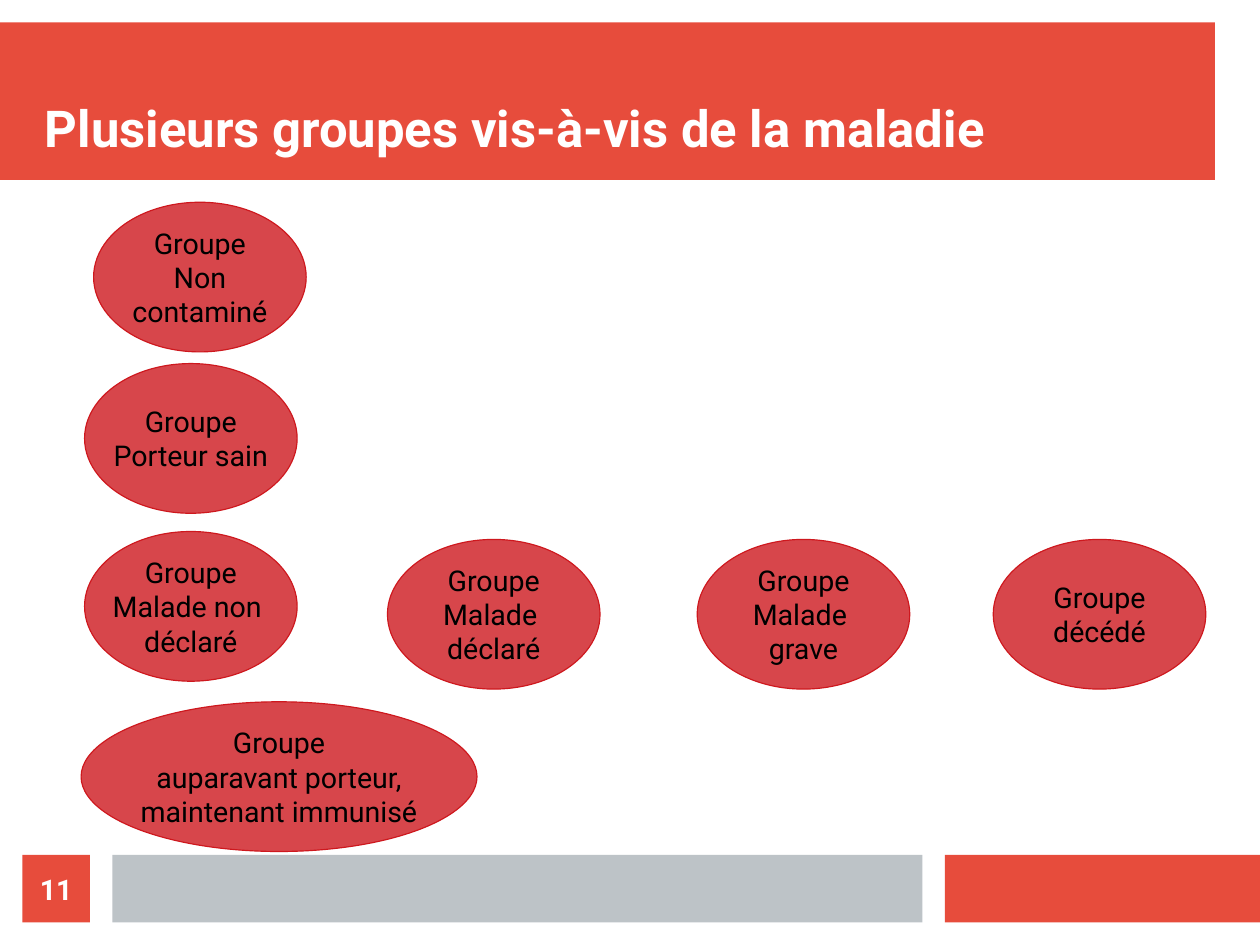
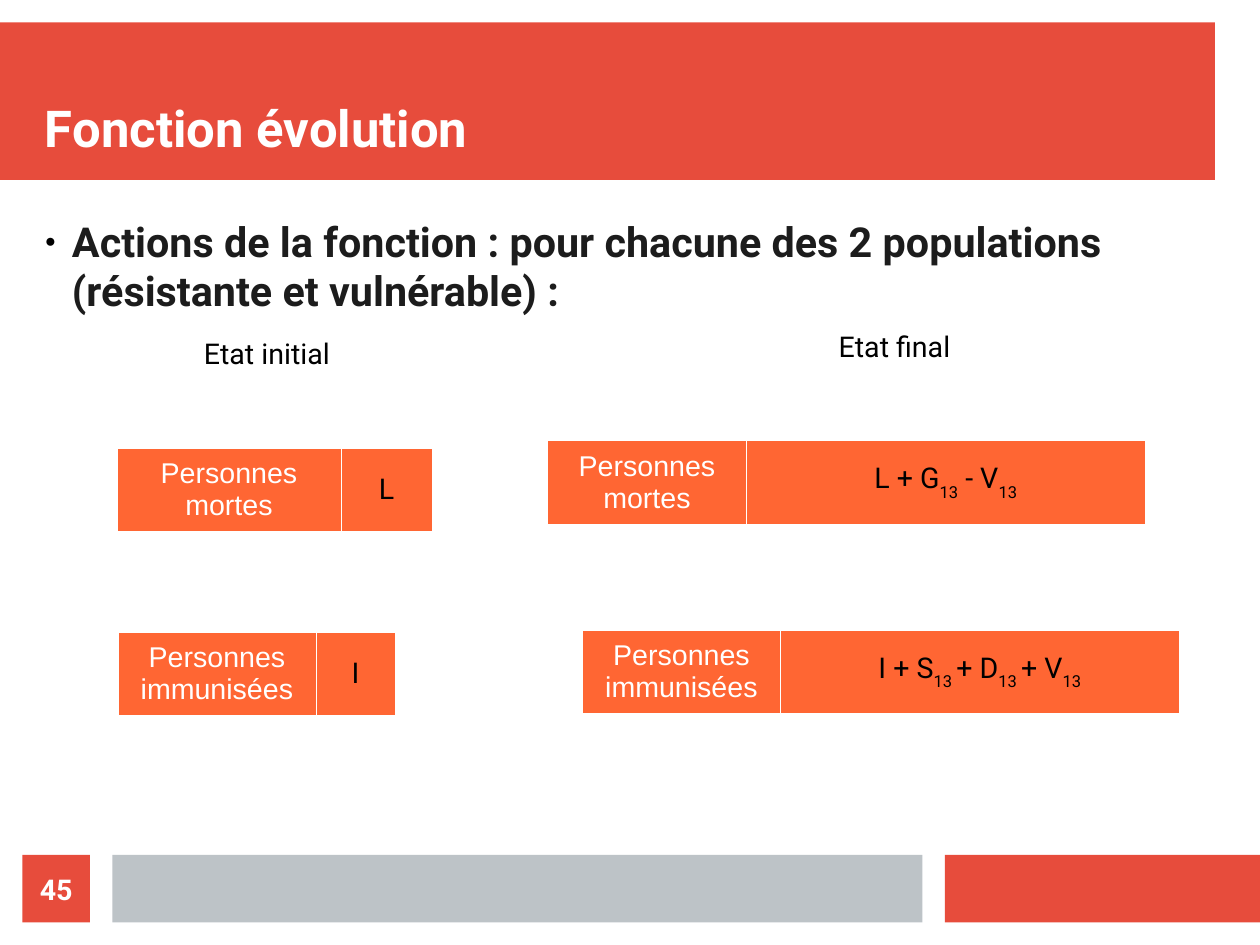
from lxml import etree
from pptx import Presentation
from pptx.dml.color import RGBColor
from pptx.enum.shapes import MSO_SHAPE
from pptx.enum.text import MSO_ANCHOR, MSO_AUTO_SIZE, PP_ALIGN
from pptx.oxml import parse_xml
from pptx.oxml.ns import qn
from pptx.util import Pt

RECT, OVAL = MSO_SHAPE.RECTANGLE, MSO_SHAPE.OVAL
TOP, MIDDLE, BOTTOM = MSO_ANCHOR.TOP, MSO_ANCHOR.MIDDLE, MSO_ANCHOR.BOTTOM
LEFT, CENTER = PP_ALIGN.LEFT, PP_ALIGN.CENTER
NO_FIT = MSO_AUTO_SIZE.NONE
NS = "http://schemas.openxmlformats.org/drawingml/2006/main"

RED, GREY, CRIMSON, ORANGE = "E74C3C", "BDC3C7", "CE181E", "FF6633"
WHITE, BLACK, INK = "FFFFFF", "000000", "1C1C1C"
TITLE = {"name": "Roboto", "size": Pt(32), "bold": True}
BODY = {"name": "Roboto", "size": Pt(26), "bold": True}
NUMBER = {"name": "Roboto", "size": Pt(18), "bold": True}
LABEL = {"name": "Roboto", "size": Pt(18), "bold": False}
HEADER = {"name": "Arial", "size": Pt(18), "bold": False}
FLUSH = {"margin_left": 0, "margin_top": 0, "margin_right": 0, "margin_bottom": 0,
         "word_wrap": True, "auto_size": NO_FIT}


def style(tf, fmt, color, align=CENTER, frame=None):
    for key, value in (frame or {}).items():
        setattr(tf, key, value)
    for p in tf.paragraphs:
        p.alignment = align
        for r in p.runs:
            for key, value in fmt.items():
                setattr(r.font, key, value)
            r.font.color.rgb = RGBColor.from_string(color)


def add_shape(s, kind, box, color):
    sp = s.shapes.add_shape(kind, *[Pt(v) for v in box])
    sp.shadow.inherit = False
    sp.fill.solid()
    sp.fill.fore_color.rgb = RGBColor.from_string(color)
    sp.line.fill.background()
    return sp


prs = Presentation()
prs.slide_width, prs.slide_height = Pt(793.7), Pt(595.28)
master = prs.slide_master
for ph, box in zip(master.placeholders, [(28.35, 28.35, 737, 70.87), (28.35, 136, 723, 368.5)]):
    ph.left, ph.top, ph.width, ph.height = [Pt(v) for v in box]

groups_slide = prs.slides.add_slide(prs.slide_layouts[5])
evolution_slide = prs.slides.add_slide(prs.slide_layouts[1])

bands = [
    ((0, 14.17, 765.35, 99.2), RED),
    ((595.28, 538.58, 198.42, 42.52), RED),
    ((70.87, 538.58, 510.24, 42.52), GREY),
]
for i, (box, color) in enumerate(bands):
    sp = add_shape(groups_slide, RECT, box, color)
    sp.element.nvSpPr.cNvPr.set("id", str(101 + i))
    master.shapes.element.insert(2 + i, sp.element)

pages = [
    (groups_slide, "Plusieurs groupes vis-à-vis de la maladie", "11"),
    (evolution_slide, "Fonction évolution", "45"),
]
for s, title, number in pages:
    tf = s.shapes.title.text_frame
    tf.text = title
    style(tf, TITLE, WHITE, LEFT, {**FLUSH, "vertical_anchor": BOTTOM})
    tf = add_shape(s, RECT, (14.17, 538.58, 42.52, 42.52), RED).text_frame
    tf.text = number
    style(tf, NUMBER, WHITE, CENTER, {**FLUSH, "vertical_anchor": MIDDLE})

groups = [
    (59, 127.4, 133.9, "Groupe\nNon\vcontaminé"),
    (53.3, 229, 133.9, "Groupe\nPorteur sain"),
    (53.3, 334.8, 133.9, "Groupe\nMalade non \vdéclaré"),
    (244.1, 339.8, 133.9, "Groupe\nMalade \vdéclaré"),
    (51.1, 442.1, 249.4, "Groupe\vauparavant porteur,\vmaintenant immunisé"),
    (439.2, 339.8, 133.9, "Groupe\nMalade \vgrave"),
    (625.7, 339.8, 133.9, "Groupe\ndécédé"),
]
for x, y, w, text in groups:
    sp = add_shape(groups_slide, OVAL, (x, y, w, 94.3), CRIMSON)
    fill = sp.element.spPr.find(qn("a:solidFill"))
    etree.SubElement(fill[0], qn("a:alpha"), val="80000")
    sp.line.color.rgb = RGBColor.from_string(CRIMSON)
    sp.line.width = Pt(0)
    sp.text_frame.text = text
    style(sp.text_frame, LABEL, BLACK, CENTER, {"word_wrap": False, "vertical_anchor": MIDDLE})

tf = evolution_slide.placeholders[1].text_frame
tf.text = "Actions de la fonction : pour chacune des 2 populations (résistante et vulnérable)\u00a0:"
p = tf.paragraphs[0]
pPr = p._p.get_or_add_pPr()
pPr.set("marL", str(Pt(17)))
pPr.set("indent", str(-Pt(17)))
for xml in (f'<a:buClr xmlns:a="{NS}"><a:srgbClr val="{BLACK}"/></a:buClr>',
            f'<a:buSzPct xmlns:a="{NS}" val="45000"/>',
            f'<a:buChar xmlns:a="{NS}" char="●"/>'):
    pPr.append(parse_xml(xml))
p.space_before, p.space_after = Pt(0), Pt(11.4)
style(tf, BODY, INK, LEFT, {**FLUSH, "vertical_anchor": TOP})

for x, y, text in [(56.9, 208.1, "Etat initial"), (452.2, 203.8, "Etat final")]:
    tf = evolution_slide.shapes.add_textbox(Pt(x), Pt(y), Pt(222.5), Pt(31.7)).text_frame
    tf.text = text
    style(tf, LABEL, BLACK, CENTER, {"word_wrap": True})

tables = [
    (73.5, 282, (141.5, 57), "Personnes mortes", "L"),
    (344.9, 277.5, (125.3, 251.1), "Personnes mortes", "L + G|13| - V|13"),
    (74.2, 398.2, (124.9, 49.7), "Personnes immunisées", "I"),
    (366.8, 397, (124.9, 251.1), "Personnes immunisées", "I + S|13 |+ D|13 |+ V|13"),
]
for x, y, widths, name, formula in tables:
    gf = evolution_slide.shapes.add_table(1, 2, Pt(x), Pt(y), Pt(sum(widths)), Pt(52.5))
    table = gf.table
    table.first_row = table.horz_banding = False
    for i, (text, fmt, color) in enumerate([(name, HEADER, WHITE), (formula, LABEL, BLACK)]):
        table.columns[i].width = Pt(widths[i])
        cell = table.cell(0, i)
        cell.vertical_anchor = MIDDLE
        cell.fill.solid()
        cell.fill.fore_color.rgb = RGBColor.from_string(ORANGE)
        for n, side in enumerate(("lnL", "lnR", "lnT", "lnB")):
            cell._tc.tcPr.insert(n, parse_xml(
                f'<a:{side} xmlns:a="{NS}" w="762"><a:solidFill>'
                f'<a:srgbClr val="{WHITE}"/></a:solidFill></a:{side}>'))
        for n, part in enumerate(text.split("|")):
            r = cell.text_frame.paragraphs[0].add_run()
            r.text = part
            if n % 2:
                r._r.get_or_add_rPr().set("baseline", "-33000")
        style(cell.text_frame, fmt, color)

prs.save("out.pptx")
